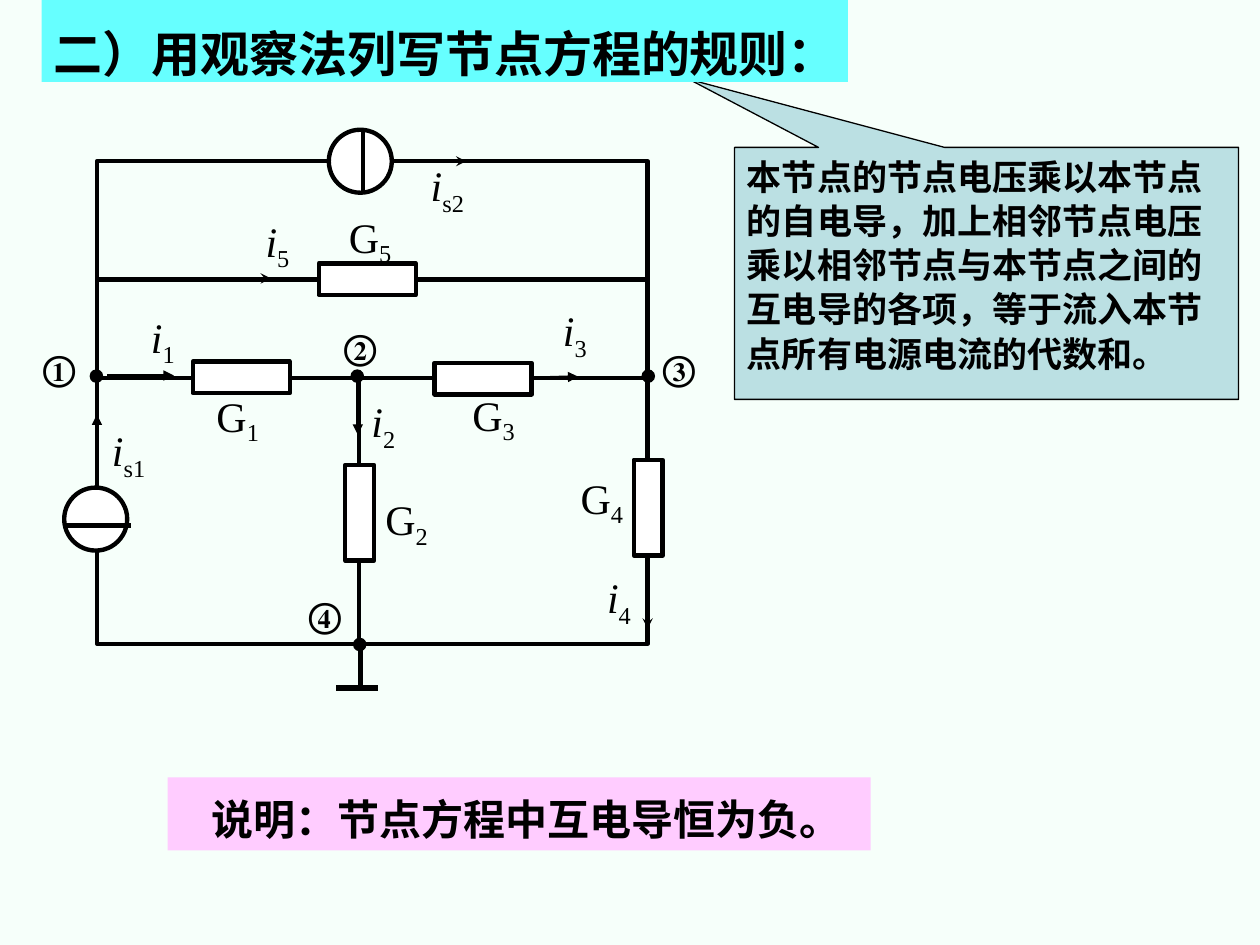
"""Build the slide on writing nodal equations by inspection, with its circuit."""
import lxml.etree
import pptx
import pptx.dml.color
import pptx.enum.shapes
import pptx.enum.text
import pptx.oxml.ns
import pptx.util

COLORS = {"background": "F6FFFA", "title": "66FFFF", "callout": "BBE0E3",
          "note": "FFCCFF", "ink": "000000", "white": "FFFFFF"}
RGB = {name: pptx.dml.color.RGBColor.from_string(c) for name, c in COLORS.items()}
SHAPE = pptx.enum.shapes.MSO_SHAPE
TIMES, CJK = "Times New Roman", "Noto Sans CJK SC"
qn = pptx.oxml.ns.qn

prs = pptx.Presentation()
prs.slide_width, prs.slide_height = pptx.util.Inches(10), pptx.util.Inches(7.5)
COL, ROW = prs.slide_width / 100, prs.slide_height / 75
s = prs.slides.add_slide(prs.slide_layouts[6])
s.background.fill.solid()
s.background.fill.fore_color.rgb = RGB["background"]


def add_block(kind, x, y, w, h, fill=None, line=None):
    sp = s.shapes.add_shape(kind, round(x * COL), round(y * ROW), round(w * COL), round(h * ROW))
    sp.shadow.inherit = False
    if fill:
        sp.fill.solid()
        sp.fill.fore_color.rgb = RGB[fill]
    else:
        sp.fill.background()
    if line:
        sp.line.color.rgb = RGB["ink"]
        sp.line.width = pptx.util.Pt(line)
    else:
        sp.line.fill.background()
    return sp


def add_text(sp, runs, size, bold=False, spacing=None, inset=(0.1, 0.05), wrap=True):
    tf = sp.text_frame
    tf.word_wrap = wrap
    tf.vertical_anchor = pptx.enum.text.MSO_ANCHOR.TOP
    tf.margin_left, tf.margin_top = (pptx.util.Inches(v) for v in inset)
    tf.margin_right, tf.margin_bottom = tf.margin_left, tf.margin_top
    p = tf.paragraphs[0]
    p.alignment = pptx.enum.text.PP_ALIGN.LEFT
    p.line_spacing = spacing
    for text, font, italic, baseline in runs:
        r = p.add_run()
        r.text = text
        r.font.size, r.font.name = pptx.util.Pt(size), font
        r.font.bold, r.font.italic = bold, italic
        r.font.color.rgb = RGB["ink"]
        rPr = r._r.get_or_add_rPr()
        if baseline:
            rPr.set("baseline", str(baseline * 1000))
        if len(text) > 4:
            lxml.etree.SubElement(rPr, qn("a:ea")).set("typeface", CJK)


sp = add_block(SHAPE.RECTANGLE, 13.3, 61.7, 55.8, 5.8, "note")
add_text(sp, [("说明：节点方程中互电导恒为负。", CJK, False, 0)], 24, True, 1.2, (0.35, 0.05))

sp = add_block(SHAPE.RECTANGULAR_CALLOUT, 58.3, 11.7, 40, 20, "callout", 0.75)
sp.adjustments[0], sp.adjustments[1] = -0.59, -0.77
add_text(sp, [("本节点的节点电压乘以本节点的自电导，加上相邻节点电压乘以相邻节点与本节点之间的"
               "互电导的各项，等于流入本节点所有电源电流的代数和。", "Arial", False, 0)],
         20, True, 1.05)

sp = add_block(SHAPE.RECTANGLE, 3.3, 0, 64, 6.5, "title")
add_text(sp, [("二）用观察法列写节点方程的规则：", TIMES, False, 0)], 28, True, 1.4, (0.1, 0))

LEFT, MID, RIGHT = 7.7, 28.5, 51.4
TOP, UPPER, CENTER, BOTTOM = 12.8, 22.2, 30, 51.1
add_block(SHAPE.RECTANGLE, LEFT, TOP, RIGHT - LEFT, BOTTOM - TOP, line=2.5)

wires = [
    (LEFT, CENTER, RIGHT, CENTER, 2.5, None), (LEFT, UPPER, RIGHT, UPPER, 2.5, None),
    (MID, CENTER, MID, BOTTOM, 2.5, None),
    (28.6, BOTTOM, 28.6, 54.6, 3, None), (26.7, 54.6, 30, 54.6, 3, None),
]
marks = [
    (28.8, 10.3, 28.8, 15.3, 2.5, None), (5, 41.7, 10.4, 41.7, 2.5, None),
    (28.4, CENTER, 28.4, 34.5, 1.5, "triangle"), (LEFT, 37.9, LEFT, 32.9, 1.5, "triangle"),
    (8.5, 29.8, 13.8, 29.8, 1.5, "triangle"), (42.4, CENTER, 45.9, 29.9, 1.75, "triangle"),
    (17.9, 22.1, 21.5, 22.1, 1.5, "stealth"), (34, TOP, 37, TOP, 1.5, "stealth"),
    (RIGHT, 46.6, RIGHT, 49.9, 2, "stealth"),
]
resistors = [(15.3, 28.7, 7.7, 2.5), (34.5, 28.8, 7.7, 2.5), (25.3, 20.9, 7.7, 2.5),
             (27.4, 36.9, 2.3, 7.6), (50.3, 36.5, 2.3, 7.6)]
sources = [(5.1, 38.7), (26.1, 10.3)]

for layer in (wires, marks):
    for x1, y1, x2, y2, width, arrow in layer:
        cx = s.shapes.add_connector(pptx.enum.shapes.MSO_CONNECTOR.STRAIGHT, round(x1 * COL),
                                    round(y1 * ROW), round(x2 * COL), round(y2 * ROW))
        cx.line.color.rgb = RGB["ink"]
        cx.line.width = pptx.util.Pt(width)
        if arrow:
            lxml.etree.SubElement(cx.line._get_or_add_ln(), qn("a:tailEnd")).set("type", arrow)
        lxml.etree.SubElement(cx._element.spPr, qn("a:effectLst"))
    if layer is wires:
        for box in resistors:
            add_block(SHAPE.RECTANGLE, *box, "white", 2.5)
        for x, y in sources:
            add_block(SHAPE.OVAL, x, y, 5, 5, "white", 2.5)

for x, y in [(7.2, 29.4), (27.9, 29.4), (51, 29.4), (28.1, 50.7)]:
    add_block(SHAPE.OVAL, x, y, 0.9, 0.9, "ink", 1.25)

labels = [
    ("i", "s1", 7.9, 33.2), ("i", "s2", 33.2, 12.2), ("i", "1", 11, 24.2), ("i", "2", 28.5, 30.9),
    ("i", "3", 43.7, 23.7), ("i", "4", 47.2, 44.9), ("i", "5", 20.1, 16.6),
    ("G", "1", 16.2, 30.5), ("G", "2", 29.6, 38.7), ("G", "3", 36.5, 30.4),
    ("G", "4", 45.1, 37), ("G", "5", 26.7, 16.3),
]
for symbol, index, x, y in labels:
    current = symbol == "i"
    sp = s.shapes.add_textbox(round(x * COL), round(y * ROW), round(6.6 * COL), round(5.6 * ROW))
    add_text(sp, [(symbol, TIMES, current, 0), (index, TIMES, False, -25 if current else -22)], 24)

for number, x, y in [("①", 3.4, 27.5), ("②", 27.3, 25.8), ("③", 52.6, 27.5), ("④", 24.5, 47.1)]:
    sp = s.shapes.add_textbox(round(x * COL), round(y * ROW), round(2.6 * COL), round(3.3 * ROW))
    add_text(sp, [(number, TIMES, False, 0)], 20, True, inset=(0, 0), wrap=False)

prs.save("out.pptx")
